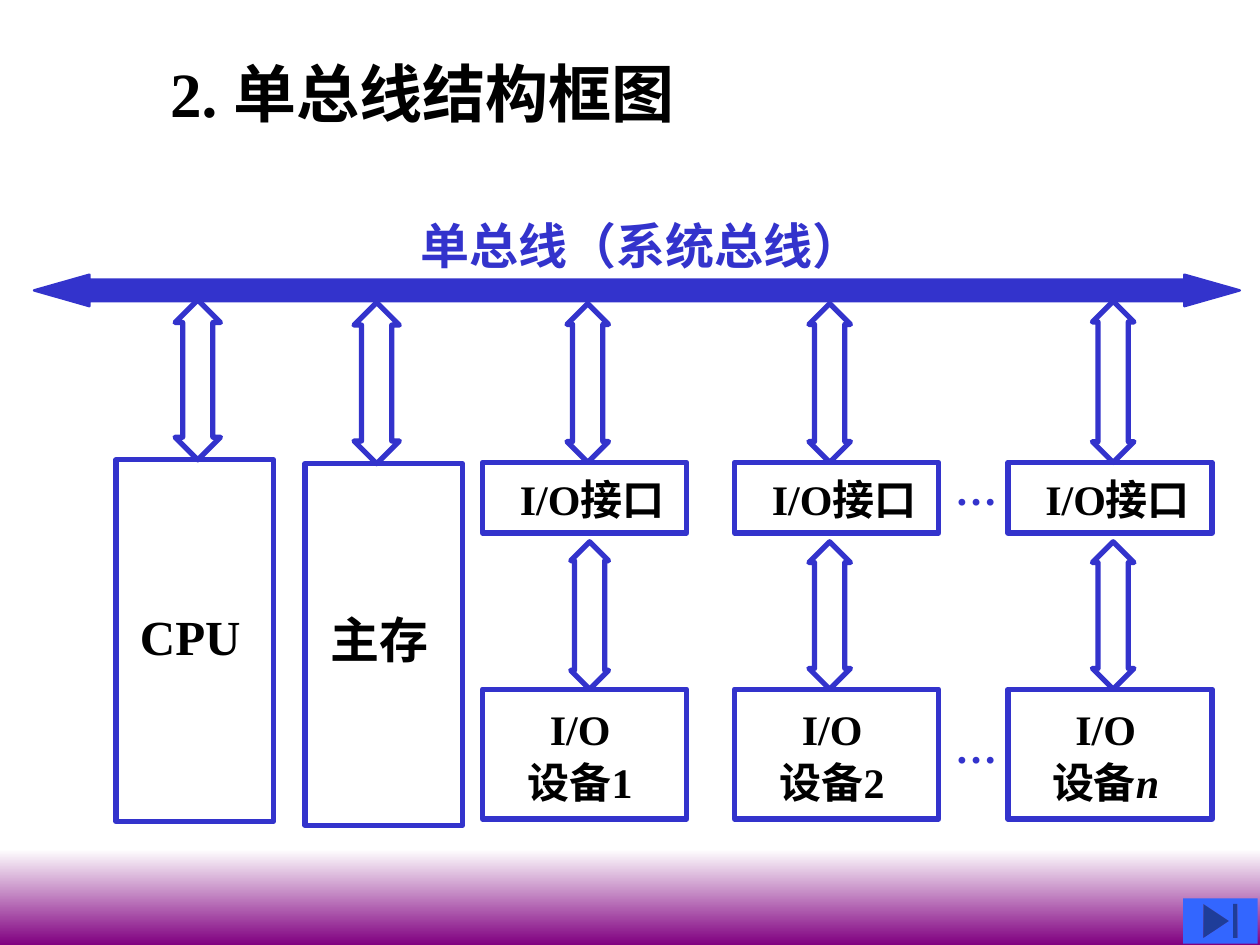
"""Build the single-bus structure diagram slide."""
from dataclasses import dataclass

import pptx
import pptx.dml.color
import pptx.enum.shapes
import pptx.enum.text
import pptx.oxml.ns
import pptx.shapes.autoshape
import pptx.slide
import pptx.util
from lxml import etree

Inches = pptx.util.Inches
Pt = pptx.util.Pt
RGBColor = pptx.dml.color.RGBColor
Shape = pptx.shapes.autoshape.Shape
Slide = pptx.slide.Slide
PRESET = pptx.enum.shapes.MSO_SHAPE
ALIGN = pptx.enum.text.PP_ALIGN
ANCHOR = pptx.enum.text.MSO_ANCHOR

BLUE = RGBColor(0x33, 0x33, 0xCC)
BLACK = RGBColor(0, 0, 0)
WHITE = RGBColor(0xFF, 0xFF, 0xFF)
PURPLE = RGBColor(0x80, 0, 0x80)
BUTTON_BLUE = RGBColor(0x33, 0x66, 0xFF)
LATIN_FONT = "Times New Roman"
CHINESE_FONT = "Noto Sans CJK SC"
ELLIPSIS = "…"

INTERFACE_TOP, INTERFACE_HEIGHT = 3.67, 0.56
DEVICE_TOP, DEVICE_HEIGHT = 5.47, 1.03
UNIT_WIDTH = 1.62
DEVICE_ARROW_TOP = 4.3


@dataclass(frozen=True)
class Area:
    left: float
    top: float
    width: float
    height: float


@dataclass(frozen=True)
class Block:
    label: str
    area: Area
    arrow: Area


@dataclass(frozen=True)
class Peripheral:
    number: str
    left: float
    bus_arrow: Area
    device_arrow_left: float
    device_arrow_width: float


@dataclass(frozen=True)
class Label:
    text: str
    area: Area
    size: int
    color: RGBColor


BLOCKS = [
    Block("CPU", Area(0.92, 3.65, 1.25, 2.87), Area(1.39, 2.38, 0.36, 1.27)),
    Block("主存", Area(2.42, 3.68, 1.25, 2.87), Area(2.81, 2.4, 0.36, 1.28)),
]
PERIPHERALS = [
    Peripheral("1", 3.83, Area(4.5, 2.41, 0.33, 1.26), 4.53, 0.3),
    Peripheral("2", 5.83, Area(6.42, 2.41, 0.33, 1.26), 6.42, 0.33),
    Peripheral("n", 8, Area(8.67, 2.39, 0.33, 1.28), 8.67, 0.33),
]
LABELS = [
    Label("单总线（系统总线）", Area(3.34, 1.7, 3.6, 0.47), 28, BLUE),
    Label("2. 单总线结构框图", Area(1.35, 0.37, 4.49, 0.7), 36, BLACK),
    Label(ELLIPSIS, Area(7.58, 3.67, 0.42, 0.4), 24, BLUE),
    Label(ELLIPSIS, Area(7.58, 5.72, 0.42, 0.4), 24, BLUE),
]


def lengths(area: Area) -> tuple:
    """Give the position and size of an area as lengths."""
    return (Inches(area.left), Inches(area.top),
            Inches(area.width), Inches(area.height))


def format_text(box: Shape, size: int, color: RGBColor, align: ALIGN) -> None:
    """Apply the slide's bold type to all the text in a box."""
    frame = box.text_frame
    frame.word_wrap = True
    frame.vertical_anchor = ANCHOR.MIDDLE
    for para in frame.paragraphs:
        para.alignment = align
        para.line_spacing = Pt(round(size * 1.25))
        for span in para.runs:
            span.font.name = LATIN_FONT
            span.font.size = Pt(size)
            span.font.bold = True
            span.font.color.rgb = color
            if span.text != ELLIPSIS:
                east_asian = etree.SubElement(
                    span.font._element, pptx.oxml.ns.qn("a:ea"))
                east_asian.set("typeface", CHINESE_FONT)


def set_margins(box: Shape, left: float = 0, right: float = 0,
                bottom: float = 0) -> None:
    """Set the text margins of a box in inches."""
    frame = box.text_frame
    frame.margin_top = 0
    frame.margin_left = Inches(left)
    frame.margin_right = Inches(right)
    frame.margin_bottom = Inches(bottom)


def add_plain(page: Slide, preset: PRESET, area: Area) -> Shape:
    """Add a preset shape without shadow, fill or line."""
    shape = page.shapes.add_shape(preset, *lengths(area))
    shape.shadow.inherit = False
    shape.fill.background()
    shape.line.fill.background()
    return shape


def add_outlined(page: Slide, preset: PRESET, area: Area) -> Shape:
    """Add an unfilled shape with the thick blue outline."""
    shape = add_plain(page, preset, area)
    shape.line.color.rgb = BLUE
    shape.line.width = Pt(3)
    return shape


def add_box(page: Slide, area: Area, text: str) -> Shape:
    """Add an outlined rectangle with text still to be formatted."""
    box = add_outlined(page, PRESET.RECTANGLE, area)
    box.text_frame.text = text
    return box


def add_arrow(page: Slide, area: Area) -> None:
    """Add a hollow vertical double arrow."""
    arrow = add_outlined(page, PRESET.UP_DOWN_ARROW, area)
    arrow.adjustments[0] = 0.5
    arrow.adjustments[1] = 0.24 / area.width


def add_block(page: Slide, block: Block) -> None:
    """Add a tall block and its arrow to the bus."""
    box = add_box(page, block.area, block.label)
    set_margins(box, right=0.07, bottom=0.1)
    format_text(box, 28, BLACK, ALIGN.CENTER)
    add_arrow(page, block.arrow)


def add_peripheral(page: Slide, unit: Peripheral) -> None:
    """Add an interface, a device and the arrows that join them."""
    interface = add_box(page, Area(unit.left, INTERFACE_TOP, UNIT_WIDTH,
                                   INTERFACE_HEIGHT), "I/O接口")
    set_margins(interface, left=0.12)
    format_text(interface, 24, BLACK, ALIGN.CENTER)
    device = add_box(page, Area(unit.left, DEVICE_TOP, UNIT_WIDTH,
                                DEVICE_HEIGHT), "I/O\n设备")
    number = device.text_frame.paragraphs[1].add_run()
    number.text = unit.number
    number.font.italic = unit.number.isalpha()
    set_margins(device, right=0.07)
    format_text(device, 24, BLACK, ALIGN.CENTER)
    add_arrow(page, unit.bus_arrow)
    add_arrow(page, Area(unit.device_arrow_left, DEVICE_ARROW_TOP,
                         unit.device_arrow_width, DEVICE_TOP - DEVICE_ARROW_TOP))


def add_label(page: Slide, label: Label) -> None:
    """Add a free-standing line of text."""
    box = page.shapes.add_textbox(*lengths(label.area))
    box.text_frame.text = label.text
    set_margins(box)
    format_text(box, label.size, label.color, ALIGN.LEFT)


def add_footer(page: Slide) -> None:
    """Add the gradient band and the navigation button."""
    band = add_plain(page, PRESET.RECTANGLE, Area(0, 6.74, 10, 0.76))
    band.fill.gradient()
    band.fill.gradient_angle = 270
    for stop, color, position in zip(band.fill.gradient_stops, (WHITE, PURPLE), (0, 1)):
        stop.color.rgb = color
        stop.position = position
    button = add_plain(page, PRESET.ACTION_BUTTON_END, Area(9.39, 7.13, 0.59, 0.36))
    button.fill.solid()
    button.fill.fore_color.rgb = BUTTON_BLUE


def add_bus(page: Slide) -> None:
    """Add the solid horizontal bus arrow."""
    bus = add_plain(page, PRESET.LEFT_RIGHT_ARROW, Area(0.27, 2.18, 9.57, 0.25))
    bus.adjustments[0] = 0.68
    bus.adjustments[1] = 1.76
    bus.fill.solid()
    bus.fill.fore_color.rgb = BLUE
    bus.line.color.rgb = BLUE
    bus.line.width = Pt(1.39)


def main() -> None:
    """Build and save the deck."""
    deck = pptx.Presentation()
    deck.slide_width, deck.slide_height = Inches(10), Inches(7.5)
    page = deck.slides.add_slide(deck.slide_layouts[6])
    add_footer(page)
    add_bus(page)
    for block in BLOCKS:
        add_block(page, block)
    for unit in PERIPHERALS:
        add_peripheral(page, unit)
    for label in LABELS:
        add_label(page, label)
    deck.save("out.pptx")


if __name__ == "__main__":
    main()
